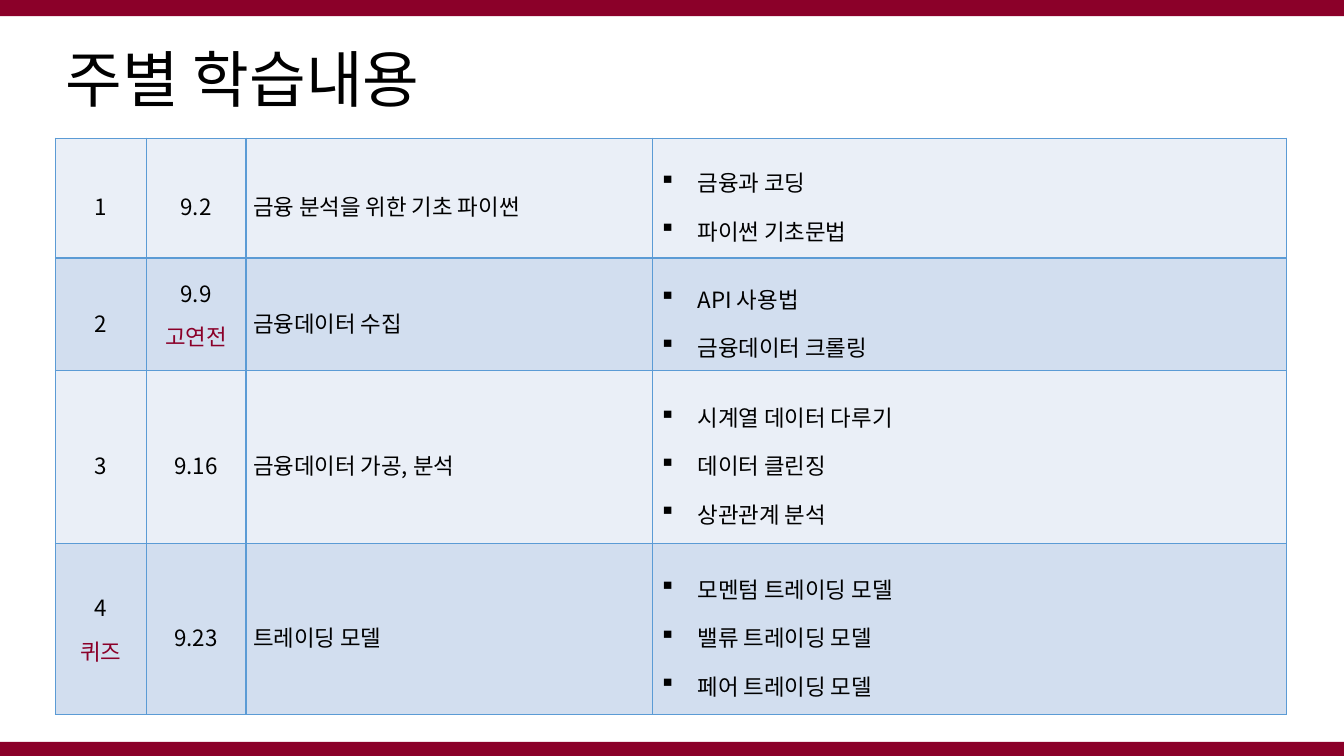
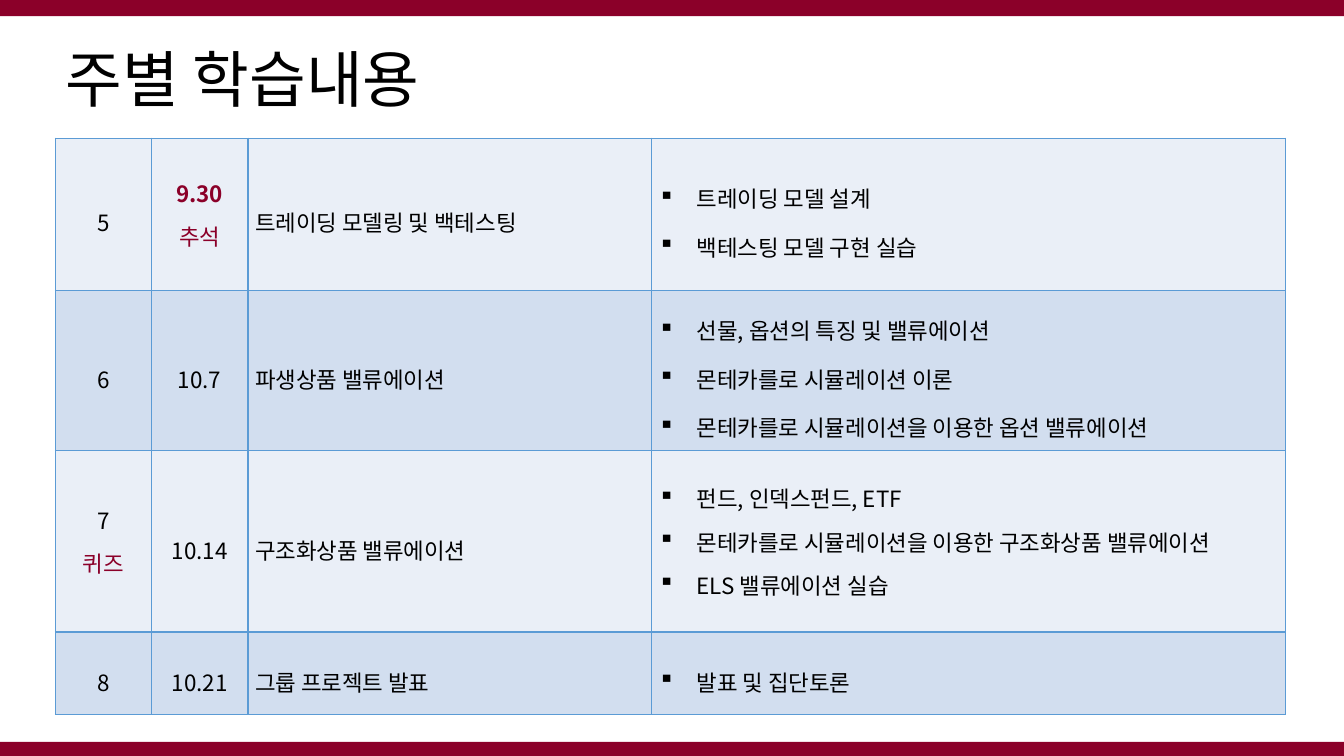
import dataclasses

import lxml.etree
import pptx
import pptx.dml.color
import pptx.enum.shapes
import pptx.enum.text
import pptx.oxml.ns
import pptx.util

Inches = pptx.util.Inches
Pt = pptx.util.Pt
qn = pptx.oxml.ns.qn

COLORS = {
    "crimson": "8B0029",
    "text": "000000",
    "border": "5B9BD5",
    "odd_row": "EAEFF7",
    "even_row": "D2DEEF",
}
TITLE_FONT = "Roboto"
TABLE_FONT = "Noto Sans CJK KR"
SLIDE_SIZE = (13.33, 7.5)
BAND_HEIGHT = 0.19
BAND_TOPS = (-0.03, 7.36)
TITLE_BOX = (0.55, 0.4, 12.21, 0.84)
TABLE_BOX = (0.55, 1.37, 12.21, 5.73)
BULLET_INDENT = 0.38


@dataclasses.dataclass
class Week:
    number: str
    date: str
    subject: str
    topics: list
    height: float
    number_note: str = ""
    date_note: str = ""
    holiday: bool = False
    topic_spacing: float = 1.5


SCHEDULES = [
    ((0.9, 0.99, 4.03, 6.29), [
        Week("1", "9.2", "금융 분석을 위한 기초 파이썬",
             ["금융과 코딩", "파이썬 기초문법"], 1.19),
        Week("2", "9.9", "금융데이터 수집",
             ["API 사용법", "금융데이터 크롤링"], 1.12, date_note="고연전"),
        Week("3", "9.16", "금융데이터 가공, 분석",
             ["시계열 데이터 다루기", "데이터 클린징", "상관관계 분석"], 1.71),
        Week("4", "9.23", "트레이딩 모델",
             ["모멘텀 트레이딩 모델", "밸류 트레이딩 모델", "페어 트레이딩 모델"],
             1.7, number_note="퀴즈"),
    ]),
    ((0.95, 0.96, 4, 6.29), [
        Week("5", "9.30", "트레이딩 모델링 및 백테스팅",
             ["트레이딩 모델 설계", "백테스팅 모델 구현 실습"],
             1.51, date_note="추석", holiday=True),
        Week("6", "10.7", "파생상품 밸류에이션",
             ["선물, 옵션의 특징 및 밸류에이션", "몬테카를로 시뮬레이션 이론",
              "몬테카를로 시뮬레이션을 이용한 옵션 밸류에이션"], 1.59),
        Week("7", "10.14", "구조화상품 밸류에이션",
             ["펀드, 인덱스펀드, ETF",
              "몬테카를로 시뮬레이션을 이용한 구조화상품 밸류에이션",
              "ELS 밸류에이션 실습"],
             1.8, number_note="퀴즈", topic_spacing=1),
        Week("8", "10.21", "그룹 프로젝트 발표", ["발표 및 집단토론"], 0.82),
    ]),
]


def rgb(name):
    return pptx.dml.color.RGBColor.from_string(COLORS[name])


def set_font(font, name, size, color="text", bold=False):
    font.name = name
    font.size = Pt(size)
    font.bold = bold
    font.color.rgb = rgb(color)


def add_master_bands(presentation, slide):
    """Draw the bands on a slide, then move them to its master."""
    master_tree = presentation.slide_master.shapes.element
    for index, top in enumerate(BAND_TOPS):
        band = slide.shapes.add_shape(
            pptx.enum.shapes.MSO_SHAPE.RECTANGLE, 0, Inches(top),
            presentation.slide_width, Inches(BAND_HEIGHT))
        band.shadow.inherit = False
        band.fill.solid()
        band.fill.fore_color.rgb = rgb("crimson")
        band.line.fill.background()
        properties = band.element.find(".//" + qn("p:cNvPr"))
        properties.set("id", str(100 + index))
        master_tree.insert(2 + index, band.element)


def add_title(slide, text, box):
    title = slide.shapes.title
    title.left, title.top, title.width, title.height = map(Inches, box)
    frame = title.text_frame
    frame.text = text
    frame.vertical_anchor = pptx.enum.text.MSO_ANCHOR.MIDDLE
    paragraph = frame.paragraphs[0]
    paragraph.alignment = pptx.enum.text.PP_ALIGN.LEFT
    paragraph.line_spacing = 0.9
    set_font(paragraph.font, TITLE_FONT, 44)


def add_bullet(paragraph):
    properties = paragraph._p.get_or_add_pPr()
    indent = Inches(BULLET_INDENT)
    properties.set("marL", str(indent))
    properties.set("indent", str(-indent))
    color = lxml.etree.SubElement(properties, qn("a:buClr"))
    lxml.etree.SubElement(color, qn("a:srgbClr"), val=COLORS["text"])
    lxml.etree.SubElement(properties, qn("a:buChar"), char="▪")


def add_borders(cell):
    properties = cell._tc.get_or_add_tcPr()
    for index, side in enumerate(("lnL", "lnR", "lnT", "lnB")):
        line = lxml.etree.Element(qn("a:" + side), w=str(Pt(1)))
        fill = lxml.etree.SubElement(line, qn("a:solidFill"))
        lxml.etree.SubElement(fill, qn("a:srgbClr"), val=COLORS["border"])
        properties.insert(index, line)


def format_cell(cell, fill):
    cell.fill.solid()
    cell.fill.fore_color.rgb = rgb(fill)
    cell.vertical_anchor = pptx.enum.text.MSO_ANCHOR.MIDDLE
    cell.margin_left = cell.margin_right = Inches(0.07)
    cell.margin_top = cell.margin_bottom = Inches(0.02)
    add_borders(cell)


def fill_label(cell, label, note="", highlight=False):
    """Write a centred label with an optional crimson note below it."""
    cell.text = f"{label}\n{note}" if note else label
    paragraphs = cell.text_frame.paragraphs
    for paragraph in paragraphs:
        paragraph.alignment = pptx.enum.text.PP_ALIGN.CENTER
        paragraph.line_spacing = 1.0 if note else 1.5
        paragraph.space_after = Pt(8)
    color = "crimson" if highlight else "text"
    set_font(paragraphs[0].font, TABLE_FONT, 16, color, highlight)
    if note:
        set_font(paragraphs[1].font, TITLE_FONT, 16, "crimson")


def fill_subject(cell, subject):
    cell.text = subject
    paragraph = cell.text_frame.paragraphs[0]
    paragraph.line_spacing = 1.5
    paragraph.space_after = Pt(8)
    set_font(paragraph.font, TABLE_FONT, 16)


def fill_topics(cell, topics, spacing):
    cell.text = "\n".join(topics)
    paragraphs = cell.text_frame.paragraphs
    for number, paragraph in enumerate(paragraphs, start=1):
        paragraph.line_spacing = float(spacing)
        if spacing == 1 or number == len(paragraphs):
            paragraph.space_after = Pt(8)
        add_bullet(paragraph)
        set_font(paragraph.font, TABLE_FONT, 16)


def add_schedule(slide, column_widths, weeks, box):
    frame = slide.shapes.add_table(
        len(weeks), len(column_widths), *map(Inches, box))
    table = frame.table
    table.first_row = table.horz_banding = False
    for column, width in zip(table.columns, column_widths):
        column.width = Inches(width)
    for index, (row, week) in enumerate(zip(table.rows, weeks)):
        row.height = Inches(week.height)
        number, date, subject, topics = row.cells
        fill_label(number, week.number, week.number_note)
        fill_label(date, week.date, week.date_note, week.holiday)
        fill_subject(subject, week.subject)
        fill_topics(topics, week.topics, week.topic_spacing)
        for cell in row.cells:
            format_cell(cell, "even_row" if index % 2 else "odd_row")


def add_schedule_slide(presentation, column_widths, weeks):
    title_only = presentation.slide_layouts[5]
    slide = presentation.slides.add_slide(title_only)
    add_title(slide, "주별 학습내용", TITLE_BOX)
    add_schedule(slide, column_widths, weeks, TABLE_BOX)
    return slide


def main():
    presentation = pptx.Presentation()
    presentation.slide_width, presentation.slide_height = map(
        Inches, SLIDE_SIZE)
    slides = [add_schedule_slide(presentation, *schedule)
              for schedule in SCHEDULES]
    add_master_bands(presentation, slides[0])
    presentation.save("out.pptx")


if __name__ == "__main__":
    main()
